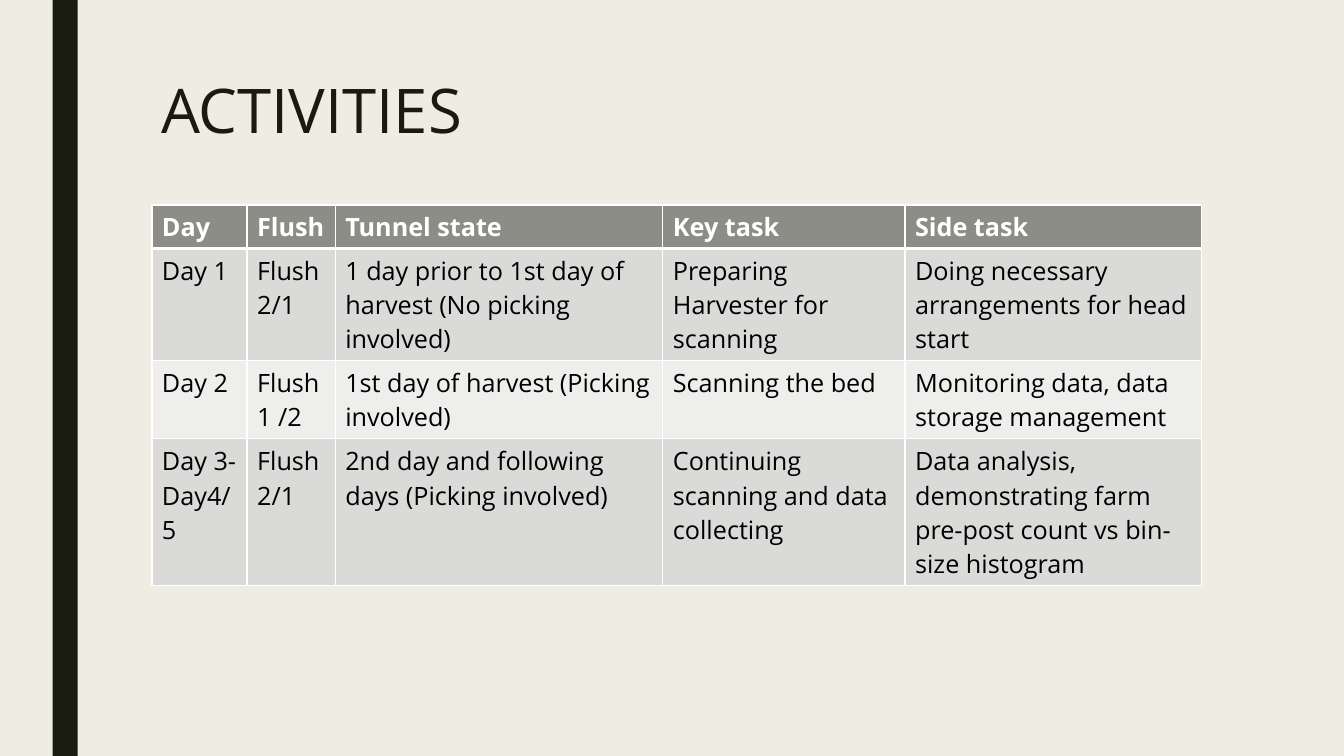
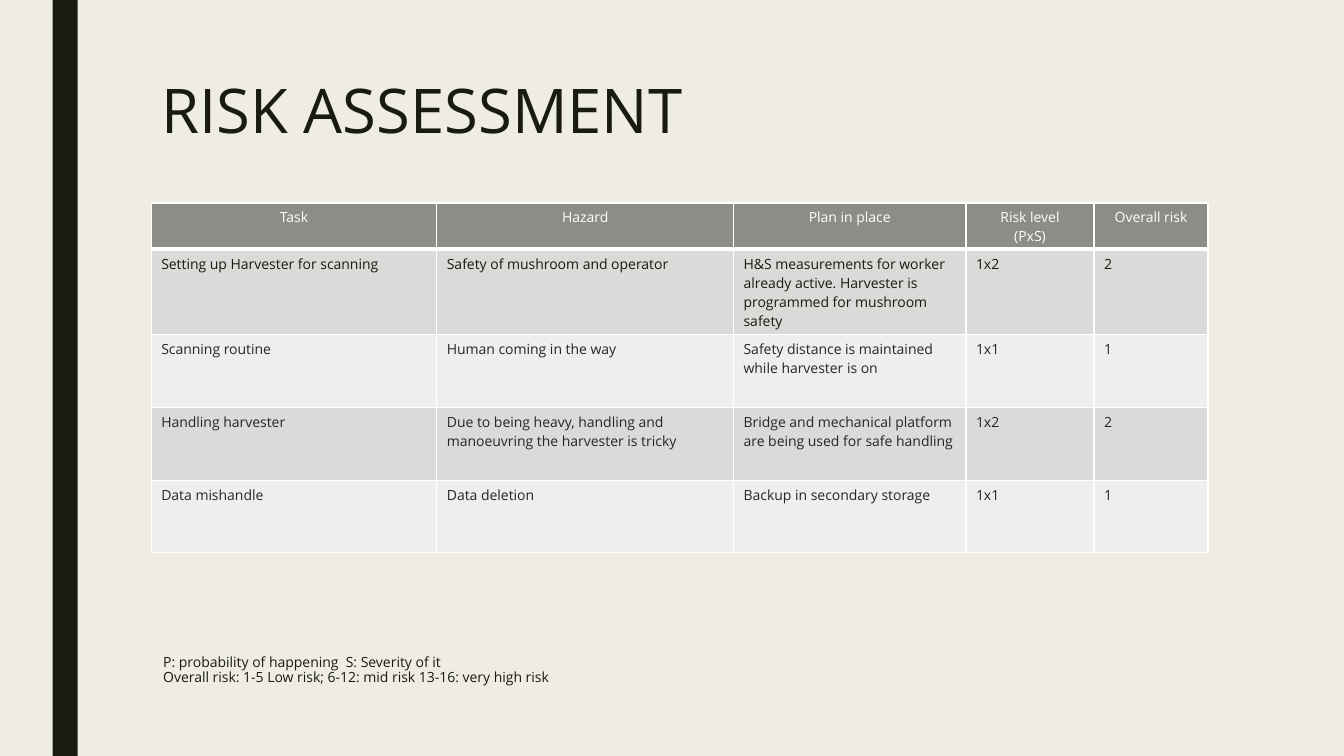
from lxml.etree import SubElement
from pptx import Presentation
from pptx.dml.color import RGBColor
from pptx.enum.shapes import MSO_SHAPE as Shape
from pptx.enum.text import MSO_ANCHOR as Anchor, PP_ALIGN as Align
from pptx.oxml.ns import qn
from pptx.util import Pt

FONT = "Open Sans"
PAPER = "EFEDE3"
INK = "191B0E"
DARK_GRAY = "262626"
BLACK = "000000"
WHITE = "FFFFFF"
HEADER_FILL = "8C8D86"
BAND_FILLS = ("DADBD9", "EEEEED")
THIN, THICK = 1, 3
LINE_SPACING = 0.89

ACTIVITIES = [
    ["Day", "Flush", "Tunnel state", "Key task", "Side task"],
    ["Day 1", "Flush 2/1", "1 day prior to 1st day of harvest (No picking involved)",
     "Preparing Harvester for scanning", "Doing necessary arrangements for head start"],
    ["Day 2", "Flush 1 /2", "1st day of harvest (Picking involved)",
     "Scanning the bed", "Monitoring data, data storage management"],
    ["Day 3- Day4/5", "Flush 2/1", "2nd day and following days (Picking involved)",
     "Continuing scanning and data collecting",
     "Data analysis, demonstrating farm pre-post count vs bin-size histogram"],
]
RISKS = [
    ["Task", "Hazard", "Plan in place", "Risk level\n(PxS)", "Overall risk"],
    ["Setting up Harvester for scanning", "Safety of mushroom and operator",
     "H&S measurements for worker already active. Harvester is programmed for mushroom safety",
     "1x2", "2"],
    ["Scanning routine", "Human coming in the way",
     "Safety distance is maintained while harvester is on", "1x1", "1"],
    ["Handling harvester",
     "Due to being heavy, handling and manoeuvring the harvester is tricky",
     "Bridge and mechanical platform are being used for safe handling", "1x2", "2"],
    ["Data mishandle", "Data deletion", "Backup in secondary storage", "1x1", "1"],
]
RISK_NOTE = ("P: probability of happening  S: Severity of it\n"
             "Overall risk: 1-5 Low risk; 6-12: mid risk 13-16: very high risk")


def paint(fill, color):
    fill.solid()
    fill.fore_color.rgb = RGBColor.from_string(color)


def write(frame, text, size, color, bold=False, align=Align.LEFT, spacing=None):
    for index, line in enumerate(text.split("\n")):
        paragraph = frame.add_paragraph() if index else frame.paragraphs[0]
        paragraph.alignment = align
        paragraph.line_spacing = spacing
        run = paragraph.add_run()
        run.text = line
        run.font.name = FONT
        run.font.size = Pt(size)
        run.font.bold = bold
        run.font.color.rgb = RGBColor.from_string(color)


def add_text(slide, left, top, width, height, text, size):
    box = slide.shapes.add_textbox(Pt(left), Pt(top), Pt(width), Pt(height))
    box.text_frame.word_wrap = True
    box.text_frame.vertical_anchor = Anchor.TOP
    write(box.text_frame, text, size, INK, spacing=LINE_SPACING)


def add_titled_slide(presentation, title):
    slide = presentation.slides.add_slide(presentation.slide_layouts[6])
    bar = slide.shapes.add_shape(Shape.RECTANGLE, Pt(37.5), 0, Pt(18),
                                 presentation.slide_height)
    bar.shadow.inherit = False
    bar.line.fill.background()
    paint(bar.fill, INK)
    add_text(slide, 108, 54, 756, 117, title, 44)
    return slide


def set_borders(cell, top, bottom):
    properties = cell._tc.get_or_add_tcPr()
    for side, width in (("L", THIN), ("R", THIN), ("T", top), ("B", bottom)):
        line = SubElement(properties, qn(f"a:ln{side}"), w=str(Pt(width)))
        SubElement(SubElement(line, qn("a:solidFill")), qn("a:srgbClr"), val=WHITE)


def add_grid(slide, left, top, widths, heights, rows, size, body_colors,
             header_bold=False, header_align=Align.LEFT):
    table = slide.shapes.add_table(len(rows), len(widths), Pt(left), Pt(top),
                                   Pt(sum(widths)), Pt(sum(heights))).table
    table.horz_banding = False
    for column, width in zip(table.columns, widths):
        column.width = Pt(width)
    for row, height in zip(table.rows, heights):
        row.height = Pt(height)
    for row_index, texts in enumerate(rows):
        header = row_index == 0
        for column_index, text in enumerate(texts):
            cell = table.cell(row_index, column_index)
            set_borders(cell, THICK if row_index == 1 else THIN,
                        THICK if header else THIN)
            if header:
                paint(cell.fill, HEADER_FILL)
                write(cell.text_frame, text, size, WHITE, header_bold, header_align)
            else:
                paint(cell.fill, BAND_FILLS[(row_index - 1) % 2])
                write(cell.text_frame, text, size, body_colors[row_index - 1])


def main():
    presentation = Presentation()
    presentation.slide_width = Pt(960)
    presentation.slide_height = Pt(540)
    paint(presentation.slide_master.background.fill, PAPER)

    activities = add_titled_slide(presentation, "ACTIVITIES")
    add_grid(activities, 108.5, 146.5, (68, 63, 234, 173, 212), (31, 80, 56, 105),
             ACTIVITIES, 18, [BLACK] * 3, header_bold=True)

    risks = add_titled_slide(presentation, "RISK ASSESSMENT")
    add_grid(risks, 108, 145, (204, 212, 166, 91.5, 81.5), (33, 61, 52, 52, 52),
             RISKS, 10, [INK] + [DARK_GRAY] * 3, header_align=Align.CENTER)
    add_text(risks, 109.5, 465, 750, 32, RISK_NOTE, 10)

    presentation.save("out.pptx")


if __name__ == "__main__":
    main()
